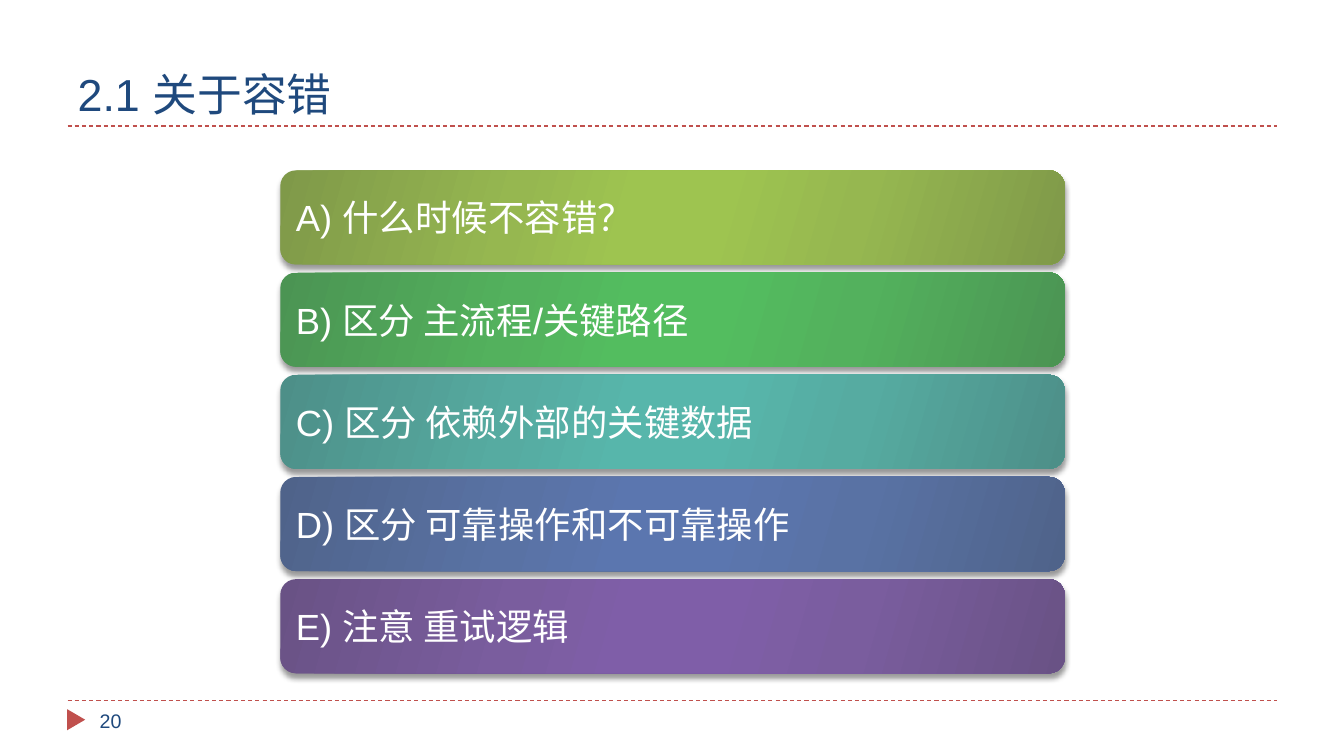
from dataclasses import dataclass

from lxml.etree import SubElement
from pptx import Presentation
from pptx.dml.color import RGBColor
from pptx.enum.dml import MSO_LINE
from pptx.enum.shapes import MSO_CONNECTOR, MSO_SHAPE
from pptx.enum.text import MSO_ANCHOR, PP_ALIGN
from pptx.oxml import parse_xml
from pptx.oxml.ns import nsdecls, qn
from pptx.util import Inches, Pt


@dataclass(frozen=True)
class Theme:
    """Colours, font and type sizes of the slide."""
    font: str = "Arial"
    navy: str = "1F497D"
    red: str = "C0504D"
    white: str = "FFFFFF"
    black: str = "000000"
    title_size: int = 32
    bar_size: int = 26
    number_size: int = 14


THEME = Theme()
STOPS = (0, 30, 45, 55, 73, 100)
BARS = [
    ("A) 什么时候不容错？", ("7F9949", "96B750", "9EC450")),
    ("B) 区分 主流程/关键路径", ("4B9453", "53B15D", "53BD5F")),
    ("C) 区分 依赖外部的关键数据", ("4D8F88", "56ABA1", "57B6AB")),
    ("D) 区分 可靠操作和不可靠操作", ("4F638A", "5972A4", "5B76AF")),
    ("E) 注意 重试逻辑", ("695285", "7A5D9E", "7F5EA8")),
]


def set_text(sp, text, size, color, anchor, inset=0.1):
    """Write one left-aligned paragraph into a shape."""
    tf = sp.text_frame
    frame = {"word_wrap": True, "vertical_anchor": anchor,
             "margin_left": Inches(inset), "margin_right": Inches(inset)}
    for name, value in frame.items():
        setattr(tf, name, value)
    p = tf.paragraphs[0]
    p.alignment = PP_ALIGN.LEFT
    r = p.add_run()
    r.text = text
    for name, value in {"name": THEME.font, "size": Pt(size)}.items():
        setattr(r.font, name, value)
    r.font.color.rgb = RGBColor.from_string(color)


def add_rule(s, x, y, w):
    """Draw a dashed horizontal rule."""
    line = s.shapes.add_connector(MSO_CONNECTOR.STRAIGHT, Inches(x), Inches(y),
                                  Inches(x + w), Inches(y))
    line.line.color.rgb = RGBColor.from_string(THEME.red)
    for name, value in {"width": Pt(0.75), "dash_style": MSO_LINE.DASH}.items():
        setattr(line.line, name, value)
    SubElement(line._element.spPr, qn("a:effectLst"))


def add_title(s, x, y, w, h):
    """Place the title with a rule along its lower edge."""
    add_rule(s, x, y + h, w)
    sp = s.shapes.title
    box = {"left": x, "top": y, "width": w, "height": h}
    for name, value in box.items():
        setattr(sp, name, Inches(value))
    set_text(sp, "2.1 关于容错", THEME.title_size, THEME.navy, MSO_ANCHOR.BOTTOM)


def style_bar(sp, colors):
    """Give a bar its mirrored gradient and soft shadow."""
    edge, middle, center = colors
    ramp = (edge, middle, center, center, middle, edge)
    stops = "".join(f'<a:gs pos="{pos * 1000}"><a:srgbClr val="{color}"/></a:gs>'
                    for pos, color in zip(STOPS, ramp))
    sp._element.spPr.append(parse_xml(
        f'<a:gradFill {nsdecls("a")} rotWithShape="1"><a:gsLst>{stops}</a:gsLst>'
        f'<a:lin ang="{16 * 60000}" scaled="0"/></a:gradFill>'))
    sp.line.fill.background()
    sp.shadow.inherit = False
    sp._element.spPr.find(qn("a:effectLst")).append(parse_xml(
        f'<a:outerShdw {nsdecls("a")} blurRad="{Pt(4)}" dist="{Pt(3.4)}" '
        f'dir="5400000" rotWithShape="0"><a:srgbClr val="{THEME.black}">'
        '<a:alpha val="40000"/></a:srgbClr></a:outerShdw>'))


def add_bars(s, x, y, w, h, gap=0.08):
    """Stack the topic bars evenly in the box."""
    bar_h = (h - gap * (len(BARS) - 1)) / len(BARS)
    for i, (text, colors) in enumerate(BARS):
        sp = s.shapes.add_shape(MSO_SHAPE.ROUNDED_RECTANGLE, Inches(x),
                                Inches(y + i * (bar_h + gap)), Inches(w), Inches(bar_h))
        style_bar(sp, colors)
        set_text(sp, text, THEME.bar_size, THEME.white, MSO_ANCHOR.MIDDLE, 0.11)


def add_footer(s, x, y, w):
    """Place the lower rule, the red marker and the page number."""
    add_rule(s, x, y, w)
    marker = s.shapes.add_shape(MSO_SHAPE.ISOSCELES_TRIANGLE, Inches(x - 0.02),
                                Inches(y + 0.1), Inches(0.21), Inches(0.18))
    marker.rotation = 90
    marker.shadow.inherit = False
    marker.fill.solid()
    marker.fill.fore_color.rgb = RGBColor.from_string(THEME.red)
    marker.line.fill.background()
    number = s.shapes.add_textbox(Inches(x + 0.22), Inches(y), Inches(2.89), Inches(0.4))
    set_text(number, "20", THEME.number_size, THEME.navy, MSO_ANCHOR.MIDDLE)


def main():
    """Build and save the slide."""
    prs = Presentation()
    prs.slide_width, prs.slide_height = Inches(13.33), Inches(7.5)
    s = prs.slides.add_slide(prs.slide_layouts[5])
    add_title(s, 0.67, 0.17, 12, 1.08)
    add_bars(s, 2.78, 1.69, 7.78, 4.99)
    add_footer(s, 0.67, 6.95, 12)
    prs.save("out.pptx")


if __name__ == "__main__":
    main()
